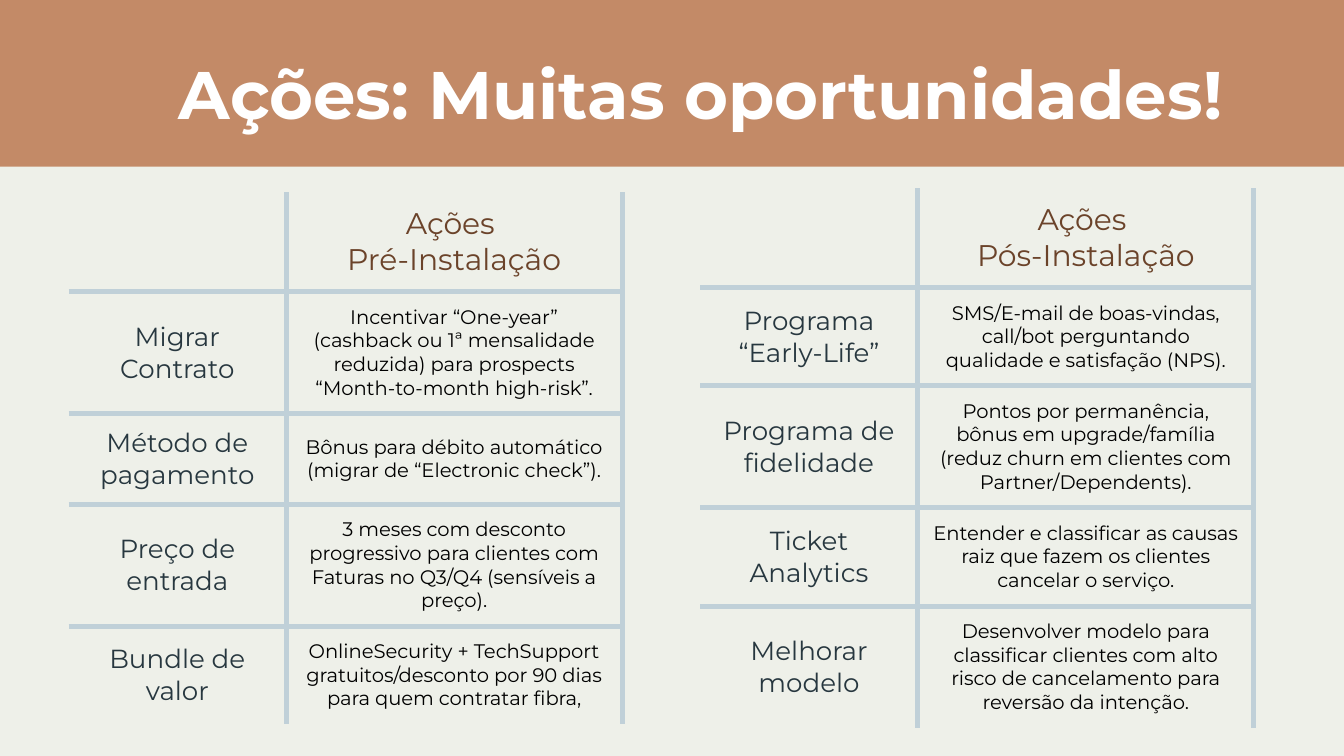
from lxml.etree import SubElement
from pptx import Presentation
from pptx.dml.color import RGBColor
from pptx.enum.shapes import MSO_SHAPE
from pptx.enum.text import MSO_ANCHOR, PP_ALIGN
from pptx.oxml.ns import qn
from pptx.util import Inches, Pt

FONT = "Montserrat"
CLAY, CREAM, RULE = "C38A67", "EEF0E9", "C0D0D8"
BROWN, SLATE, BLACK, WHITE = "6B432A", "27373F", "000000", "FFFFFF"

PRE_ACTIONS = [
    ("", "Ações \nPré-Instalação"),
    ("Migrar Contrato",
     "Incentivar “One-year” (cashback ou 1ª mensalidade reduzida) para "
     "prospects “Month-to-month high-risk”."),
    ("Método de pagamento",
     "Bônus para débito automático (migrar de “Electronic check”)."),
    ("Preço de entrada",
     "3 meses com desconto progressivo para clientes com Faturas no Q3/Q4 "
     "(sensíveis a preço)."),
    ("Bundle de valor",
     "OnlineSecurity + TechSupport gratuitos/desconto por 90 dias para quem "
     "contratar fibra,"),
]
POST_ACTIONS = [
    ("", "Ações \nPós-Instalação"),
    ("Programa “Early-Life”",
     "SMS/E-mail de boas-vindas, call/bot perguntando qualidade e "
     "satisfação (NPS)."),
    ("Programa de fidelidade",
     "Pontos por permanência, bônus em upgrade/família (reduz churn em "
     "clientes com Partner/Dependents)."),
    ("Ticket Analytics",
     "Entender e classificar as causas raiz que fazem os clientes cancelar "
     "o serviço."),
    ("Melhorar modelo",
     "Desenvolver modelo para classificar clientes com alto risco de "
     "cancelamento para reversão da intenção."),
]


def rgb(color):
    return RGBColor.from_string(color)


def set_text(tf, text, size, color, bold=False):
    tf.text = text
    for p in tf.paragraphs:
        p.alignment = PP_ALIGN.CENTER
        p.font.name, p.font.size, p.font.bold = FONT, Pt(size), bold
        p.font.color.rgb = rgb(color)


def set_borders(cell, visible):
    """Rule the sides named in visible (of L, R, T, B) and clear the others."""
    tcPr = cell._tc.get_or_add_tcPr()
    for side in "LRTB":
        ln = SubElement(tcPr, qn(f"a:ln{side}"), w=str(Pt(3)))
        if side in visible:
            fill = SubElement(ln, qn("a:solidFill"))
            SubElement(fill, qn("a:srgbClr"), val=RULE)
        else:
            SubElement(ln, qn("a:noFill"))


def add_title(s, x, y, w, h, text):
    title = s.shapes.title
    title.left, title.top, title.width, title.height = map(Inches, (x, y, w, h))
    tf = title.text_frame
    tf.word_wrap = True
    tf.vertical_anchor = MSO_ANCHOR.MIDDLE
    tf.margin_left = tf.margin_right = tf.margin_top = tf.margin_bottom = Inches(0.1)
    set_text(tf, text, 36, WHITE, bold=True)


def add_panel(s, x, y, w, h):
    panel = s.shapes.add_shape(MSO_SHAPE.RECTANGLE, x, y, w, h)
    panel.shadow.inherit = False
    panel.fill.solid()
    panel.fill.fore_color.rgb = rgb(CREAM)
    panel.line.fill.background()


def add_action_table(s, x, y, col_widths, row_heights, rows):
    box = (x, y, sum(col_widths), sum(row_heights))
    table = s.shapes.add_table(len(rows), 2, *map(Inches, box)).table
    table.first_row = table.horz_banding = False
    for column, width in zip(table.columns, col_widths):
        column.width = Inches(width)
    for i, (row, height, texts) in enumerate(zip(table.rows, row_heights, rows)):
        row.height = Inches(height)
        for j, (cell, text) in enumerate(zip(row.cells, texts)):
            # Inner rules plus the right edge
            sides = "R" + "L" * (j > 0) + "T" * (i > 0) + "B" * (i < len(rows) - 1)
            set_borders(cell, sides)
            cell.fill.background()
            cell.vertical_anchor = MSO_ANCHOR.MIDDLE
            cell.margin_left = cell.margin_right = Inches(0.1)
            cell.margin_top = cell.margin_bottom = Inches(0.1)
            if i == 0:
                size, color = 16, BROWN
            else:
                size, color = (14, SLATE) if j == 0 else (10.5, BLACK)
            set_text(cell.text_frame, text, size, color)


def main():
    # Widescreen 16:9
    prs = Presentation()
    prs.slide_width = Inches(10)
    prs.slide_height = prs.slide_width * 9 // 16
    s = prs.slides.add_slide(prs.slide_layouts[5])
    s.background.fill.solid()
    s.background.fill.fore_color.rgb = rgb(CLAY)

    # Content panel down to the slide's bottom edge, and title above it
    top = Inches(1.24)
    add_panel(s, 0, top, prs.slide_width, prs.slide_height - top)
    add_title(s, 0.96, 0.43, 8.51, 0.52, "Ações: Muitas oportunidades!")

    # Actions before and after installation
    widths = (1.62, 2.5)
    add_action_table(s, 0.51, 1.43, widths, (0.73, 0.9, 0.67, 0.9, 0.72), PRE_ACTIONS)
    add_action_table(s, 5.21, 1.4, widths, (0.73, 0.72, 0.9, 0.73, 0.9), POST_ACTIONS)

    prs.save("out.pptx")


if __name__ == "__main__":
    main()
